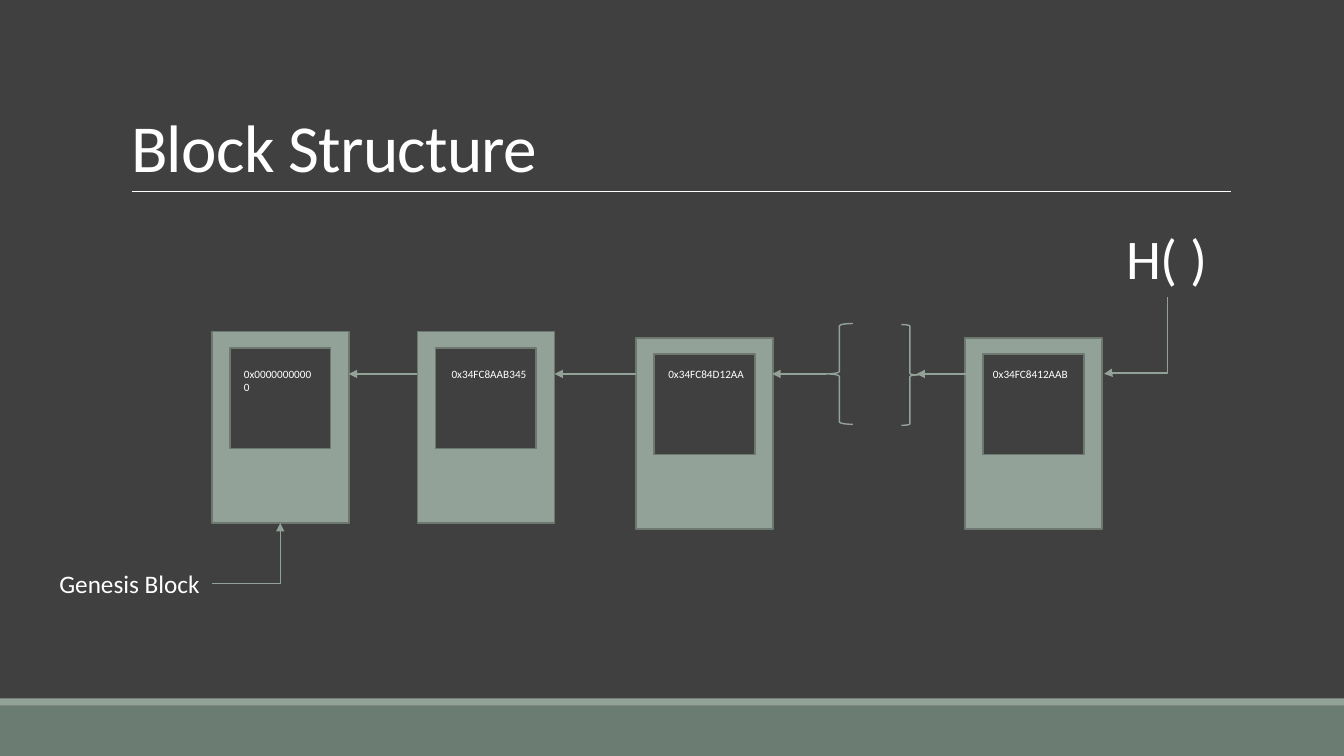
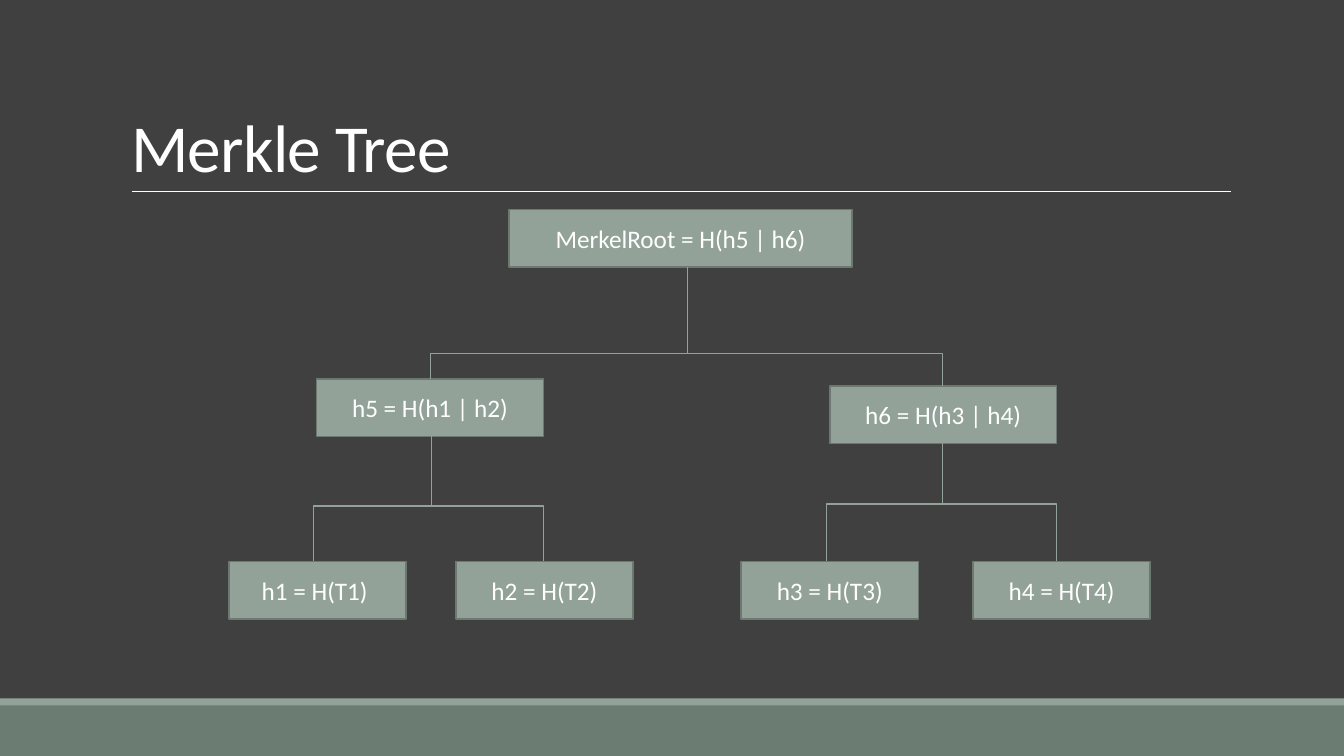
from dataclasses import dataclass

from lxml import etree
from pptx import Presentation
from pptx.dml.color import RGBColor
from pptx.enum import shapes, text
from pptx.oxml.ns import qn
from pptx.util import Inches, Pt

FONT = "Calibri"
WHITE, DARK, SAGE, SAGE_EDGE, MOSS = "FFFFFF", "404040", "93A299", "6D7871", "6B7D72"
RECT = shapes.MSO_SHAPE.RECTANGLE
HASH_LINE_Y = 3.71
NODE_HEIGHT = 0.57

Point = tuple[float, float]


@dataclass
class Block:
    left: float
    top: float
    digest: str
    digest_left: float
    digest_width: float
    digest_wraps: bool = False


@dataclass
class Node:
    left: float
    top: float
    width: float
    formula: str


@dataclass
class Branch:
    parent: Point
    bar_y: float
    children: tuple[Point, Point]


BLOCKS = [
    Block(2.1, 3.29, "0x00000000000", 2.32, 0.92),
    Block(4.14, 3.29, "0x34FC8AAB345", 4.38, 0.95),
    Block(6.31, 3.35, "0x34FC84D12AA", 6.53, 0.95),
    Block(9.57, 3.35, "0x34FC8412AAB", 9.75, 1.02, True),
]
HASH_LINKS = [(4.14, 3.46), (6.31, 5.5), (8.19, 7.66), (9.61, 9.09)]

NODES = [
    Node(5.05, 2.08, 3.4, "MerkelRoot = H(h5 | h6)"),
    Node(3.14, 3.76, 2.25, "h5 = H(h1 | h2)"),
    Node(8.23, 3.83, 2.25, "h6 = H(h3 | h4)"),
    Node(2.27, 5.57, 1.76, "h1 = H(T1) "),
    Node(4.52, 5.57, 1.76, "h2 = H(T2)"),
    Node(7.35, 5.57, 1.76, "h3 = H(T3)"),
    Node(9.65, 5.57, 1.76, "h4 = H(T4)"),
]
BRANCHES = [
    Branch((6.82, 2.65), 3.51, ((4.27, 3.76), (9.35, 3.83))),
    Branch((4.28, 4.33), 5.02, ((3.11, 5.57), (5.39, 5.57))),
    Branch((9.35, 4.4), 5.0, ((8.2, 5.57), (10.48, 5.57))),
]


def rgb(value: str) -> RGBColor:
    return RGBColor.from_string(value)


def write(paragraph, words: str, size: float):
    run = paragraph.add_run()
    run.text = words
    run.font.name = FONT
    run.font.size = Pt(size)
    run.font.color.rgb = rgb(WHITE)
    return run


def add_box(slide, left: float, top: float, width: float, height: float,
            fill: str | None, edge: str | None = None, weight: float = 1.25, kind=RECT):
    box = slide.shapes.add_shape(kind, Inches(left), Inches(top), Inches(width), Inches(height))
    box.shadow.inherit = False
    if fill:
        box.fill.solid()
        box.fill.fore_color.rgb = rgb(fill)
    else:
        box.fill.background()
    if edge:
        box.line.color.rgb = rgb(edge)
        box.line.width = Pt(weight)
    else:
        box.line.fill.background()
    return box


def add_label(slide, left: float, top: float, width: float, height: float,
              words: str, size: float, wraps: bool = False) -> None:
    label = slide.shapes.add_textbox(Inches(left), Inches(top), Inches(width), Inches(height))
    frame = label.text_frame
    frame.word_wrap = wraps
    frame.auto_size = text.MSO_AUTO_SIZE.SHAPE_TO_FIT_TEXT
    write(frame.paragraphs[0], words, size)


def add_line(slide, start: Point, end: Point, arrow: bool = False, color: str = SAGE,
             weight: float = 1, kind=shapes.MSO_CONNECTOR.STRAIGHT):
    line = slide.shapes.add_connector(kind, *(Inches(value) for value in (*start, *end)))
    line.line.color.rgb = rgb(color)
    line.line.width = Pt(weight)
    properties = line._element.spPr
    if arrow:
        etree.SubElement(properties.find(qn("a:ln")), qn("a:tailEnd"), type="triangle")
    etree.SubElement(properties, qn("a:effectLst"))
    return line


def add_corner(slide, start: Point, end: Point) -> None:
    corner = add_line(slide, start, end, True, kind=shapes.MSO_CONNECTOR.ELBOW)
    corner._element.spPr.find(qn("a:prstGeom")).set("prst", "bentConnector2")


def add_drop(slide, start: Point, end: Point, bar_y: float, arrow: bool = False) -> None:
    (x1, y1), (x2, y2) = start, end
    run, fall = abs(x2 - x1), y2 - y1
    left, top = (x1 + x2 - fall) / 2, (y1 + y2 - run) / 2
    drop = add_line(slide, (left, top), (left + fall, top + run), arrow,
                    kind=shapes.MSO_CONNECTOR.ELBOW)
    properties = drop._element.spPr
    frame = properties.find(qn("a:xfrm"))
    if x2 < x1:
        frame.set("rot", "5400000")
    else:
        frame.set("rot", "16200000")
        frame.set("flipH", "1")
    guides = properties.find(qn("a:prstGeom")).get_or_add_avLst()
    share = round((bar_y - y1) / fall * 100000)
    etree.SubElement(guides, qn("a:gd"), name="adj1", fmla=f"val {share}")


def furnish_layout(layout, slide) -> None:
    layout.background.fill.solid()
    layout.background.fill.fore_color.rgb = rgb(DARK)
    for holder in list(layout.placeholders):
        if holder.placeholder_format.type != shapes.PP_PLACEHOLDER.TITLE:
            holder._element.getparent().remove(holder._element)
    furniture = [
        add_box(slide, 0, 7, 13.33, 0.5, MOSS),
        add_box(slide, 0, 6.93, 13.33, 0.07, SAGE),
        add_line(slide, (1.31, 1.9), (12.21, 1.9), color=WHITE, weight=0.5),
    ]
    for part in furniture:
        layout.shapes._spTree.append(part._element)


def set_title(slide, words: str) -> None:
    title = slide.shapes.title
    title.left, title.top = Inches(1.2), Inches(0.31)
    title.width, title.height = Inches(11), Inches(1.59)
    frame = title.text_frame
    frame.auto_size = text.MSO_AUTO_SIZE.NONE
    frame.vertical_anchor = text.MSO_ANCHOR.BOTTOM
    heading = frame.paragraphs[0]
    heading.alignment = text.PP_ALIGN.LEFT
    heading.line_spacing = 0.85
    write(heading, words, 48).font._element.set("spc", "-50")


def draw_block(slide, block: Block) -> None:
    add_box(slide, block.left, block.top, 1.36, 1.9, SAGE, SAGE_EDGE)
    add_box(slide, block.left + 0.18, block.top + 0.16, 1, 1, DARK, SAGE_EDGE)
    add_label(slide, block.digest_left, 3.59, block.digest_width, 0.24,
              block.digest, 8, block.digest_wraps)


def draw_node(slide, node: Node) -> None:
    box = add_box(slide, node.left, node.top, node.width, NODE_HEIGHT, SAGE, SAGE_EDGE)
    box.text_frame.vertical_anchor = text.MSO_ANCHOR.MIDDLE
    formula = box.text_frame.paragraphs[0]
    formula.alignment = text.PP_ALIGN.CENTER
    write(formula, node.formula, 18)


def draw_block_structure(slide) -> None:
    set_title(slide, "Block Structure")
    for block in BLOCKS:
        draw_block(slide, block)
    for start, end in HASH_LINKS:
        add_line(slide, (start, HASH_LINE_Y), (end, HASH_LINE_Y), True)
    add_box(slide, 8.19, 3.21, 0.27, 1, None, SAGE, 1, shapes.MSO_SHAPE.LEFT_BRACE)
    add_box(slide, 8.94, 3.22, 0.17, 1, None, SAGE, 1, shapes.MSO_SHAPE.RIGHT_BRACE)
    add_label(slide, 11.07, 2.17, 1.02, 0.77, "H( )", 40)
    add_drop(slide, (11.58, 2.95), (10.95, HASH_LINE_Y), 3.7, True)
    add_label(slide, 0.49, 5.59, 1.61, 0.4, "Genesis Block", 18)
    add_corner(slide, (2.1, 5.79), (2.78, 5.19))


def draw_merkle_tree(slide) -> None:
    set_title(slide, "Merkle Tree")
    for node in NODES:
        draw_node(slide, node)
    for branch in BRANCHES:
        for child in branch.children:
            add_drop(slide, branch.parent, child, branch.bar_y)


def main() -> None:
    deck = Presentation()
    deck.slide_width, deck.slide_height = Inches(13.33), Inches(7.5)
    title_only = deck.slide_layouts[5]
    chain, tree = (deck.slides.add_slide(title_only) for _ in range(2))
    furnish_layout(title_only, chain)
    draw_block_structure(chain)
    draw_merkle_tree(tree)
    deck.save("out.pptx")


if __name__ == "__main__":
    main()
